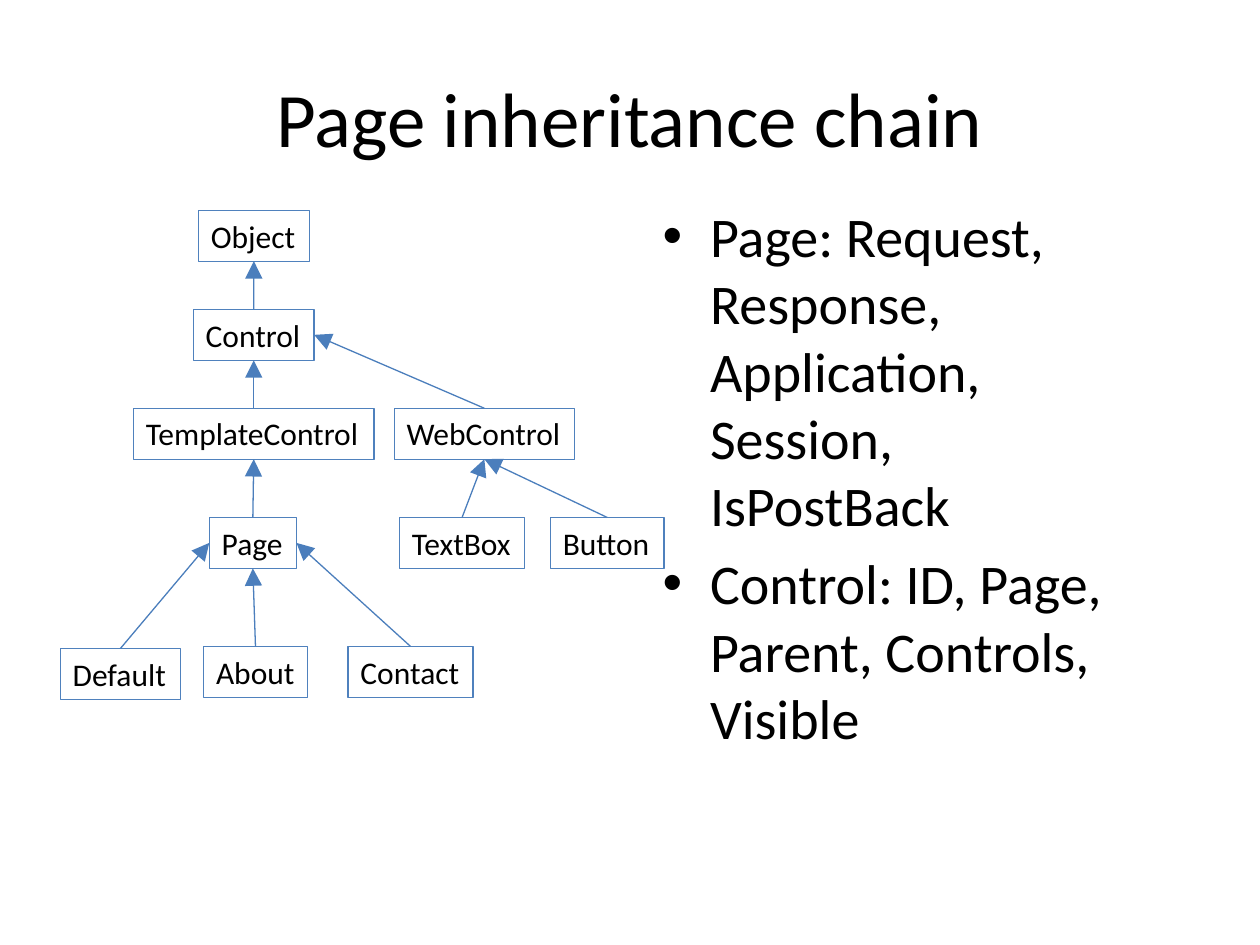
from dataclasses import dataclass

from lxml.etree import SubElement
from pptx import Presentation
from pptx.dml.color import RGBColor as Rgb
from pptx.enum.shapes import MSO_CONNECTOR as Connector
from pptx.enum.text import MSO_ANCHOR as Anchor, MSO_AUTO_SIZE as AutoSize, PP_ALIGN as Align
from pptx.oxml.ns import qn
from pptx.util import Pt


@dataclass(frozen=True)
class Theme:
    font: str = "Calibri"
    ink: Rgb = Rgb(0x00, 0x00, 0x00)
    border: Rgb = Rgb(0x4F, 0x81, 0xBD)
    arrow: Rgb = Rgb(0x4B, 0x7E, 0xBC)
    title_size: int = 44
    list_size: int = 32
    class_size: int = 18
    line_width: float = 0.75


THEME = Theme()
BOX_HEIGHT = 29.1
TOP, LEFT, BOTTOM, RIGHT = range(4)

CLASSES = {
    "Object": (113.4, 120.2, 63.4),
    "Control": (110.5, 176.8, 69),
    "TemplateControl": (76.3, 233.3, 137.4),
    "WebControl": (225.3, 233.3, 103),
    "Page": (119.6, 295.7, 49.8),
    "TextBox": (228.3, 295.7, 71.5),
    "Button": (314.5, 295.7, 65),
    "Default": (34.5, 370.6, 68.6),
    "About": (116.4, 369.4, 59.2),
    "Contact": (198.9, 369.4, 71.4),
}
INHERITANCE = [
    ("Control", "Object", BOTTOM),
    ("TemplateControl", "Control", BOTTOM),
    ("WebControl", "Control", RIGHT),
    ("Page", "TemplateControl", BOTTOM),
    ("TextBox", "WebControl", BOTTOM),
    ("Button", "WebControl", BOTTOM),
    ("Default", "Page", LEFT),
    ("About", "Page", BOTTOM),
    ("Contact", "Page", RIGHT),
]
MEMBERS = [
    "Page: Request, Response, Application, Session, IsPostBack",
    "Control: ID, Page, Parent, Controls, Visible",
]


def place(holder, left, top, width, height):
    holder.left, holder.top = Pt(left), Pt(top)
    holder.width, holder.height = Pt(width), Pt(height)


def style_text(frame, size):
    for paragraph in frame.paragraphs:
        for run in paragraph.runs:
            run.font.name = THEME.font
            run.font.size = Pt(size)
            run.font.color.rgb = THEME.ink


def fill_title(title):
    place(title, 36, 21.6, 648, 90)
    title.text_frame.text = "Page inheritance chain"
    title.text_frame.vertical_anchor = Anchor.MIDDLE
    title.text_frame.paragraphs[0].alignment = Align.CENTER
    style_text(title.text_frame, THEME.title_size)


def fill_members(body):
    place(body, 371.5, 111.6, 290, 356.4)
    body.text_frame.text = "\n".join(MEMBERS)
    style_text(body.text_frame, THEME.list_size)


def add_class(slide, name, left, top, width):
    box = slide.shapes.add_textbox(Pt(left), Pt(top), Pt(width), Pt(BOX_HEIGHT))
    box.line.color.rgb = THEME.border
    box.line.width = Pt(THEME.line_width)
    frame = box.text_frame
    frame.text = name
    frame.word_wrap = False
    frame.auto_size = AutoSize.SHAPE_TO_FIT_TEXT
    style_text(frame, THEME.class_size)
    return box


def add_inheritance(slide, child, parent, side):
    arrow = slide.shapes.add_connector(Connector.STRAIGHT, 0, 0, 0, 0)
    arrow.begin_connect(child, TOP)
    arrow.end_connect(parent, side)
    arrow.line.color.rgb = THEME.arrow
    arrow.line.width = Pt(THEME.line_width)
    outline = arrow.line._get_or_add_ln()
    SubElement(outline, qn("a:tailEnd"), type="triangle", w="lg", len="lg")
    SubElement(arrow._element.spPr, qn("a:effectLst"))


def main():
    deck = Presentation()
    deck.slide_width, deck.slide_height = Pt(720), Pt(540)
    slide = deck.slides.add_slide(deck.slide_layouts[1])
    fill_title(slide.shapes.title)
    fill_members(slide.placeholders[1])
    boxes = {name: add_class(slide, name, *spot) for name, spot in CLASSES.items()}
    for child, parent, side in INHERITANCE:
        add_inheritance(slide, boxes[child], boxes[parent], side)
    deck.save("out.pptx")


main()
